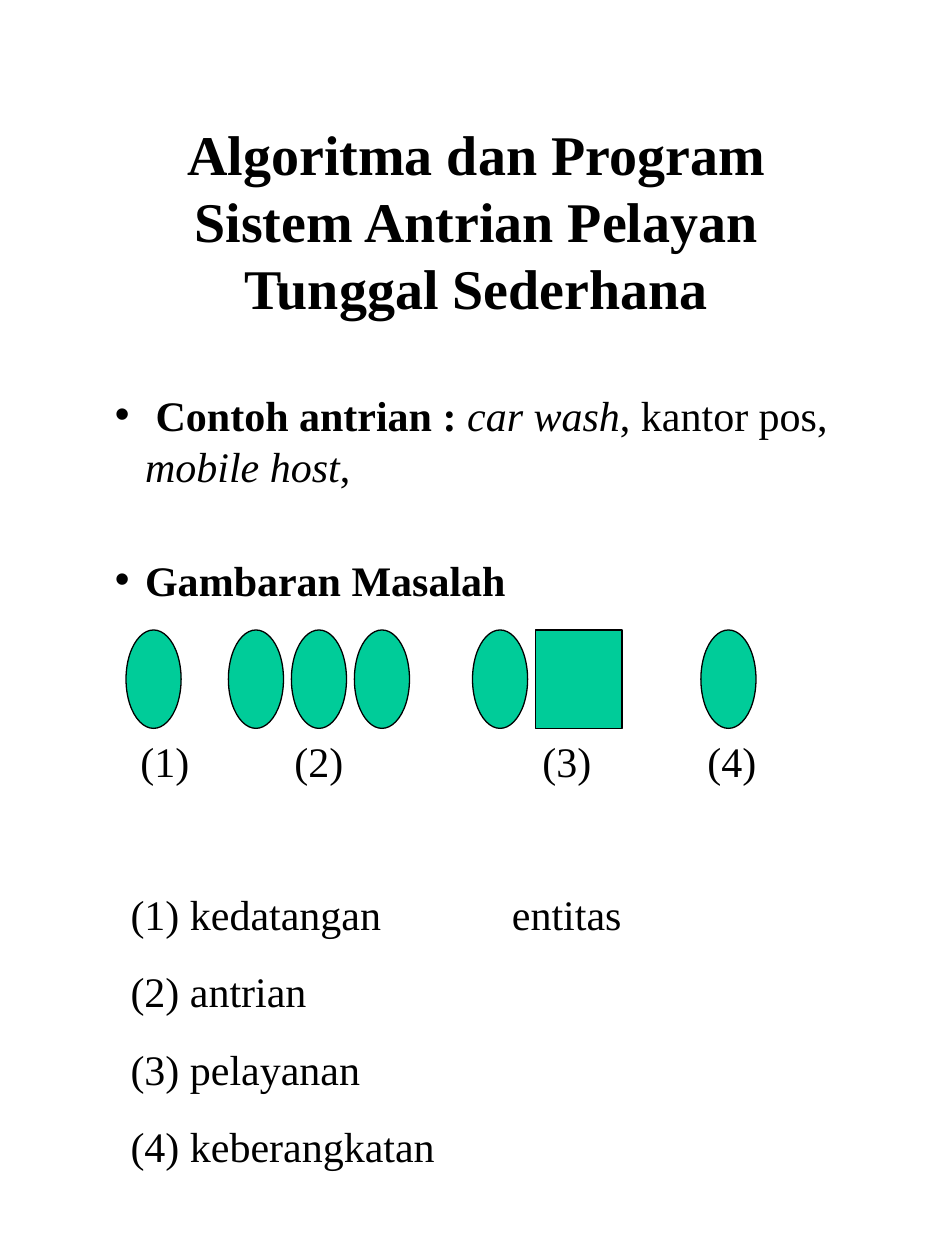
import pptx
import pptx.dml.color
import pptx.enum.shapes
import pptx.enum.text
import pptx.oxml.ns
import pptx.util
import lxml.etree

Pt = pptx.util.Pt
RGB = pptx.dml.color.RGBColor.from_string
Align = pptx.enum.text.PP_ALIGN
Form = pptx.enum.shapes.MSO_SHAPE

theme = {
    "font": "Times New Roman",
    "ink": RGB("000000"),
    "fill": RGB("00CC99"),
    "head": 32,
    "text": 24,
    "line": 0.75,
}


def place(box, left, top, width, height):
    box.left, box.top = Pt(left), Pt(top)
    box.width, box.height = Pt(width), Pt(height)
    frame = box.text_frame
    frame.word_wrap = True
    frame.auto_size = pptx.enum.text.MSO_AUTO_SIZE.NONE
    frame.vertical_anchor = pptx.enum.text.MSO_ANCHOR.TOP
    return frame


def style(para, size, pitch, before=0, bold=False):
    para.line_spacing = Pt(pitch)
    para.space_before = Pt(before)
    font = para.font
    font.name, font.size, font.bold = theme["font"], Pt(size), bold
    font.color.rgb = theme["ink"]


deck = pptx.Presentation()
deck.slide_width, deck.slide_height = Pt(540), Pt(720)
slide = deck.slides.add_slide(deck.slide_layouts[1])
title, body = slide.placeholders

# Title
frame = place(title, 58.5, 65, 427.5, 122)
frame.text = "Algoritma dan Program Sistem Antrian Pelayan Tunggal Sederhana"
para = frame.paragraphs[0]
para.alignment = Align.CENTER
style(para, theme["head"], 38.3, bold=True)

# Bullets: text, bold, italic
items = [
    [(" Contoh antrian : ", True, False), ("car wash", False, True),
     (", kantor pos, ", False, False), ("mobile host", False, True),
     (",", False, False)],
    [("Gambaran Masalah", True, False)],
]
frame = place(body, 58.5, 218.3, 427.5, 132)
for i, item in enumerate(items):
    para = frame.add_paragraph() if i else frame.paragraphs[0]
    style(para, theme["text"], 29.2, before=36 * i)
    props = para._p.get_or_add_pPr()
    props.set("marL", str(Pt(17.2)))
    props.set("indent", str(-Pt(17.2)))
    for words, bold, slant in item:
        run = para.add_run()
        run.text = words
        run.font.bold, run.font.italic = bold, slant

# Queue: customers and the server
parts = [(Form.OVAL, x, 31.5) for x in (72, 130.5, 166.5, 202.5, 270, 400.5)]
parts.append((Form.RECTANGLE, 306, 49.5))
for form, left, width in parts:
    shape = slide.shapes.add_shape(form, Pt(left), Pt(360), Pt(width), Pt(56.25))
    shape.shadow.inherit = False
    shape.fill.solid()
    shape.fill.fore_color.rgb = theme["fill"]
    shape.line.color.rgb = theme["ink"]
    shape.line.width = Pt(theme["line"])

# Labels under the queue, then their legend
box = slide.shapes.add_textbox(0, 0, 0, 0)
frame = place(box, 67.5, 416.2, 387, 255)
lines = ["\t(1)\t(2)\t(3)\t(4)", "(1) kedatangan\tentitas", "(2) antrian",
         "(3) pelayanan", "(4) keberangkatan"]
gaps = [0, 58.4, 15, 15, 15]
for i, (line, gap) in enumerate(zip(lines, gaps)):
    para = frame.add_paragraph() if i else frame.paragraphs[0]
    para.text = line
    stops = [] if i else [19.6, 107.6, 249.3, 343.6]
    if stops:
        props = para._p.get_or_add_pPr()
        tabs = lxml.etree.SubElement(props, pptx.oxml.ns.qn("a:tabLst"))
        for stop in stops:
            lxml.etree.SubElement(tabs, pptx.oxml.ns.qn("a:tab"),
                                  pos=str(Pt(stop)), algn="ctr")
    style(para, theme["text"], 29.2, before=gap)

deck.save("out.pptx")
